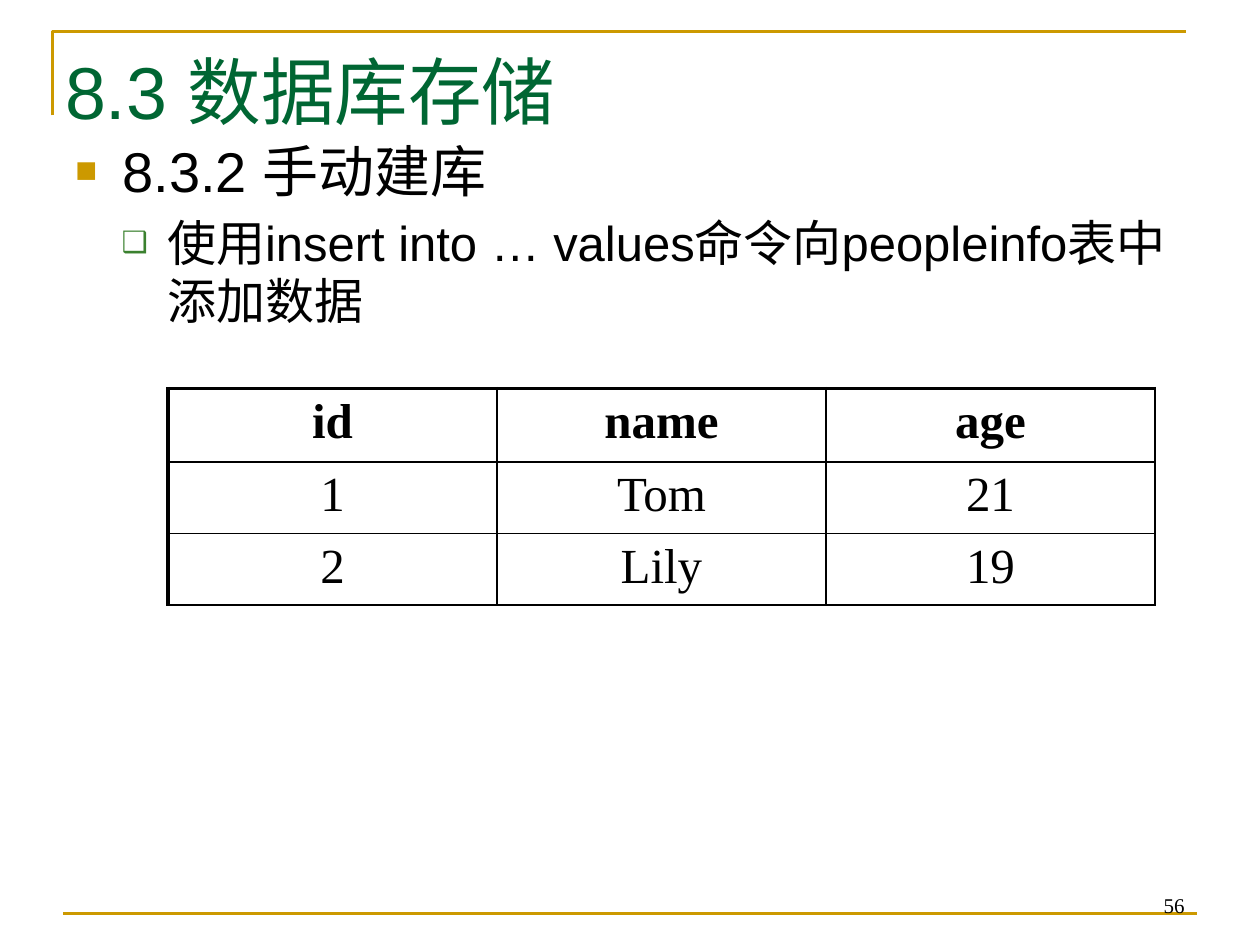
from dataclasses import dataclass

from lxml.etree import SubElement
from pptx import Presentation
from pptx.dml.color import RGBColor
from pptx.enum.text import MSO_ANCHOR as Anchor, MSO_AUTO_SIZE as AutoSize, PP_ALIGN as Align
from pptx.enum.shapes import MSO_CONNECTOR as Connector
from pptx.oxml.ns import qn
from pptx.util import Pt

GOLD, GREEN, BULLET_GREEN, BLACK = "CC9900", "006633", "3B812F", "000000"
LATIN, CJK, SERIF = "Arial", "Noto Sans CJK SC", "Times New Roman"


@dataclass(frozen=True)
class OutlineItem:
    text: str
    level: int
    size: float
    line_height: float
    margin: float
    hang: float
    bullet: str
    bullet_color: str
    bullet_percent: int


OUTLINE = [
    OutlineItem("8.3.2 手动建库", 0, 32, 41, 27, 27, "■", GOLD, 65),
    OutlineItem("使用insert into … values命令向peopleinfo表中添加数据",
                1, 28, 33, 52.5, 26, "❑", BULLET_GREEN, 60),
]
PEOPLE = [("id", "name", "age"), ("1", "Tom", "21"), ("2", "Lily", "19")]
ROW_HEIGHTS = [42, 38.2, 38.2]
COLUMN_WIDTH = 188


def rgb(color: str) -> RGBColor:
    return RGBColor.from_string(color)


def write(paragraph, text: str, *, size: float, font: str = LATIN,
          color: str = BLACK, bold: bool = False, align=Align.LEFT) -> None:
    paragraph.alignment = align
    run = paragraph.add_run()
    run.text = text
    run.font.size = Pt(size)
    run.font.name = font
    run.font.bold = bold
    run.font.color.rgb = rgb(color)
    SubElement(run._r.get_or_add_rPr(), qn("a:ea"), typeface=CJK)


def add_bullet(paragraph, item: OutlineItem) -> None:
    props = paragraph._p.get_or_add_pPr()
    props.set("marL", str(Pt(item.margin)))
    props.set("indent", str(-Pt(item.hang)))
    tint = SubElement(props, qn("a:buClr"))
    SubElement(tint, qn("a:srgbClr"), val=item.bullet_color)
    SubElement(props, qn("a:buSzPct"), val=str(item.bullet_percent * 1000))
    SubElement(props, qn("a:buFont"), typeface=LATIN)
    SubElement(props, qn("a:buChar"), char=item.bullet)


def add_border(cell, side: str, width: float) -> None:
    edge = SubElement(cell._tc.get_or_add_tcPr(), qn(f"a:{side}"), w=str(Pt(width)))
    paint = SubElement(edge, qn("a:solidFill"))
    SubElement(paint, qn("a:srgbClr"), val=BLACK)


def add_text_area(slide, left: float, top: float, width: float, height: float, anchor):
    frame = slide.shapes.add_textbox(Pt(left), Pt(top), Pt(width), Pt(height)).text_frame
    frame.word_wrap = True
    frame.vertical_anchor = anchor
    return frame


def add_frame_lines(slide) -> None:
    builder = slide.shapes.build_freeform(Pt(30), Pt(66))
    builder.add_line_segments([(Pt(30), Pt(18)), (Pt(678), Pt(18))], close=False)
    corner = builder.convert_to_shape()
    corner.fill.background()
    corner.shadow.inherit = False
    baseline = slide.shapes.add_connector(Connector.STRAIGHT, Pt(36), Pt(522), Pt(684), Pt(522))
    SubElement(baseline._element.spPr, qn("a:effectLst"))
    for rule in (corner, baseline):
        rule.line.color.rgb = rgb(GOLD)
        rule.line.width = Pt(1.5)


def add_title(slide) -> None:
    title = slide.shapes.title
    title.left, title.top, title.width, title.height = Pt(30), Pt(18), Pt(384), Pt(60)
    frame = title.text_frame
    frame.auto_size = AutoSize.NONE
    frame.vertical_anchor = Anchor.TOP
    heading = frame.paragraphs[0]
    heading.line_spacing = Pt(55)
    write(heading, "8.3 ", size=42, color=GREEN)
    write(heading, "数据库存储", size=42, font=CJK, color=GREEN)


def add_outline(slide) -> None:
    frame = add_text_area(slide, 36, 72, 648, 120, Anchor.TOP)
    for index, item in enumerate(OUTLINE):
        paragraph = frame.add_paragraph() if index else frame.paragraphs[0]
        paragraph.level = item.level
        paragraph.line_spacing = Pt(item.line_height)
        paragraph.space_before = Pt(item.size * 0.2 if index else 0)
        add_bullet(paragraph, item)
        write(paragraph, item.text, size=item.size)


def add_people_table(slide) -> None:
    columns = len(PEOPLE[0])
    people = slide.shapes.add_table(len(PEOPLE), columns, Pt(96), Pt(222),
                                    Pt(COLUMN_WIDTH * columns), Pt(sum(ROW_HEIGHTS))).table
    for column in people.columns:
        column.width = Pt(COLUMN_WIDTH)
    for row_index, (values, height) in enumerate(zip(PEOPLE, ROW_HEIGHTS)):
        people.rows[row_index].height = Pt(height)
        for column_index, value in enumerate(values):
            cell = people.cell(row_index, column_index)
            write(cell.text_frame.paragraphs[0], value, size=28, font=SERIF,
                  bold=row_index == 0, align=Align.CENTER)
            add_border(cell, "lnL", 1 if column_index else 2.25)
            add_border(cell, "lnR", 1)
            add_border(cell, "lnT", 1 if row_index else 2.25)
            add_border(cell, "lnB", 1)
            cell.fill.background()


def add_page_number(slide) -> None:
    frame = add_text_area(slide, 516, 492, 168, 36, Anchor.BOTTOM)
    write(frame.paragraphs[0], "56", size=12, font=SERIF, align=Align.RIGHT)


deck = Presentation()
deck.slide_width, deck.slide_height = Pt(720), Pt(540)
storage_slide = deck.slides.add_slide(deck.slide_layouts[5])
add_frame_lines(storage_slide)
add_page_number(storage_slide)
add_title(storage_slide)
add_outline(storage_slide)
add_people_table(storage_slide)
deck.save("out.pptx")
